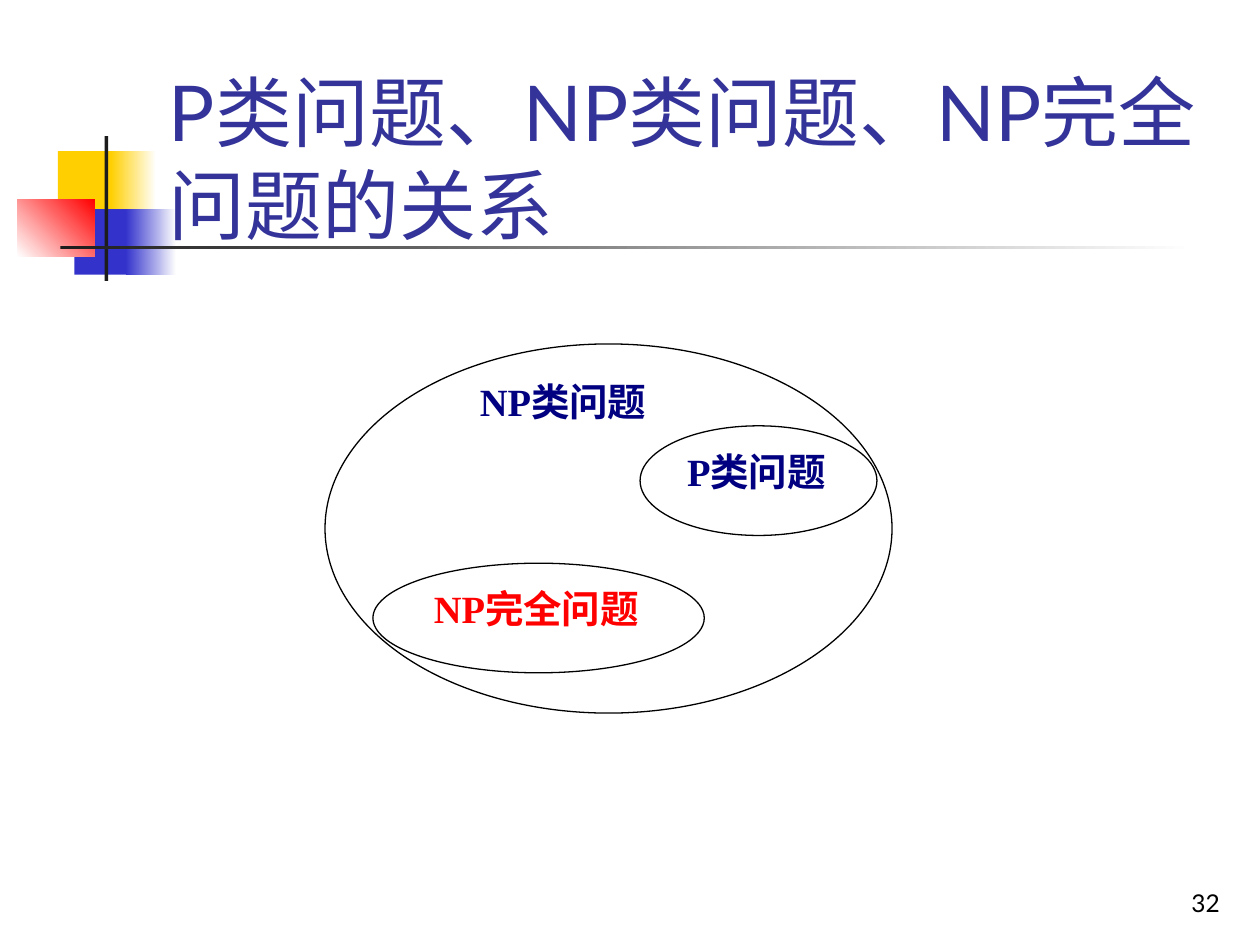
"""Build the slide on how P, NP and NP-complete problems relate."""
from lxml.etree import SubElement
from pptx import Presentation
from pptx.dml.color import RGBColor
from pptx.enum.shapes import MSO_SHAPE
from pptx.enum.text import MSO_ANCHOR, MSO_AUTO_SIZE, PP_ALIGN
from pptx.oxml.ns import qn
from pptx.util import Inches, Pt

COLORS = {
    "yellow": "FFCF01", "blue": "3333CC", "red": "FF0000", "bar": "1C1C1C",
    "white": "FFFFFF", "black": "000000", "title": "333399", "navy": "000080",
}


def rgb(name):
    return RGBColor.from_string(COLORS[name])


def write_text(holder, text, size, color, font="Lato", bold=False,
               align=PP_ALIGN.LEFT, anchor=MSO_ANCHOR.TOP):
    frame = holder.text_frame
    frame.word_wrap = True
    frame.auto_size = MSO_AUTO_SIZE.NONE
    frame.vertical_anchor = anchor
    paragraph = frame.paragraphs[0]
    paragraph.alignment = align
    run = paragraph.add_run()
    run.text = text
    run.font.size = Pt(size)
    run.font.bold = bold
    run.font.name = font
    run.font.color.rgb = rgb(color)
    SubElement(run._r.get_or_add_rPr(), qn("a:ea"), typeface="Noto Sans CJK SC")


prs = Presentation()
prs.slide_width, prs.slide_height = Inches(10), Inches(7.5)
slide = prs.slides.add_slide(prs.slide_layouts[5])

ornaments = [
    ((0.46, 1.2, 0.48, 0.52), ["yellow"], 0),
    ((0.88, 1.2, 0.36, 0.52), ["yellow", "white"], 0),
    ((0.59, 1.66, 0.46, 0.52), ["blue"], 0),
    ((1, 1.66, 0.4, 0.52), ["blue", "white"], 0),
    ((0.14, 1.58, 0.61, 0.46), ["white", "red"], 45),
    ((0.83, 1.08, 0.03, 1.15), ["bar"], 0),
    ((0.48, 1.95, 9, 0.03), ["bar", "white"], 0),
]
for box, stops, angle in ornaments:
    ornament = slide.shapes.add_shape(MSO_SHAPE.RECTANGLE, *map(Inches, box))
    ornament.shadow.inherit = False
    ornament.line.fill.background()
    if len(stops) == 1:
        ornament.fill.solid()
        ornament.fill.fore_color.rgb = rgb(stops[0])
    else:
        ornament.fill.gradient()
        ornament.fill.gradient_angle = angle
        for stop, position, color in zip(ornament.fill.gradient_stops, (0, 1), stops):
            stop.position = position
            stop.color.rgb = rgb(color)

title = slide.shapes.title
title.left, title.top, title.width, title.height = map(Inches, (1.24, 0.43, 8.52, 1.6))
write_text(title, "P类问题、NP类问题、NP完全问题的关系", 44, "title", anchor=MSO_ANCHOR.BOTTOM)
slide.shapes.element.append(title.element)

diagram = slide.shapes.add_group_shape()
problem_classes = [
    (MSO_SHAPE.OVAL, (2.58, 2.73, 4.5, 2.93), "", "navy"),
    (MSO_SHAPE.OVAL, (2.96, 4.47, 2.63, 0.87), "NP完全问题", "red"),
    (MSO_SHAPE.RECTANGLE, (3.71, 2.95, 1.62, 0.65), "NP类问题", "navy"),
    (MSO_SHAPE.OVAL, (5.08, 3.38, 1.88, 0.87), "P类问题", "navy"),
]
for outline, box, label, color in problem_classes:
    region = diagram.shapes.add_shape(outline, *map(Inches, box))
    region.shadow.inherit = False
    region.fill.solid()
    region.fill.fore_color.rgb = rgb("white")
    if outline == MSO_SHAPE.OVAL:
        region.line.color.rgb = rgb("black")
        region.line.width = Pt(0.75)
    else:
        region.line.fill.background()
    if label:
        write_text(region, label, 22, color, font="Times New Roman", bold=True,
                   align=PP_ALIGN.JUSTIFY)

page_number = slide.shapes.add_textbox(*map(Inches, (7.7, 6.83, 2.08, 0.5)))
write_text(page_number, "32", 14, "black", align=PP_ALIGN.RIGHT, anchor=MSO_ANCHOR.BOTTOM)

prs.save("out.pptx")
